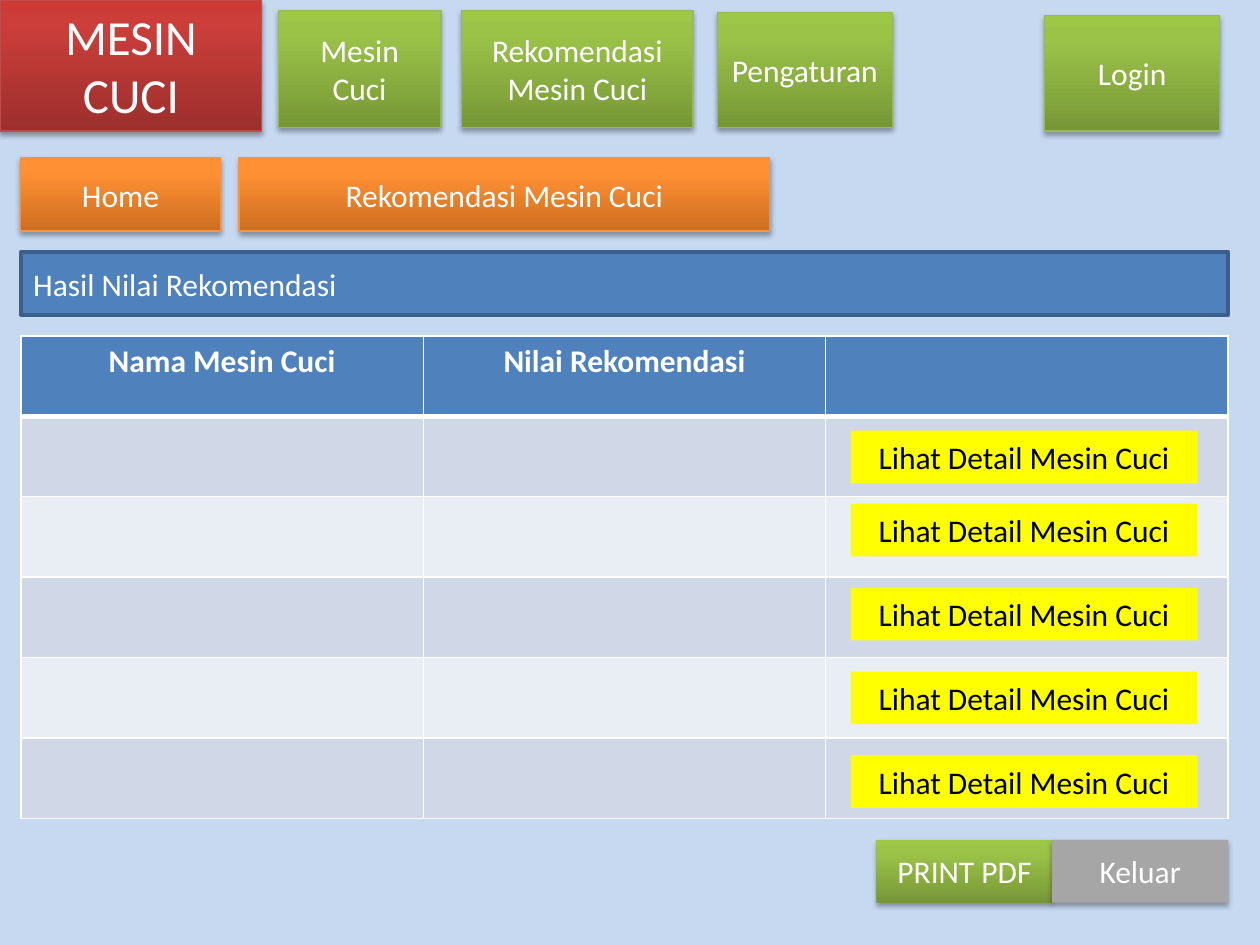
from dataclasses import dataclass
from typing import Optional

from lxml import etree
from pptx import Presentation
from pptx.dml.color import RGBColor
from pptx.enum.shapes import MSO_SHAPE
from pptx.enum.text import MSO_ANCHOR, MSO_AUTO_SIZE, PP_ALIGN
from pptx.oxml.ns import qn
from pptx.util import Cm, Pt

RECTANGLE = MSO_SHAPE.RECTANGLE
TOP, MIDDLE = MSO_ANCHOR.TOP, MSO_ANCHOR.MIDDLE
LEFT, CENTER = PP_ALIGN.LEFT, PP_ALIGN.CENTER
FIT_SHAPE = MSO_AUTO_SIZE.SHAPE_TO_FIT_TEXT

FONT = "Calibri"
WHITE = RGBColor(0xFF, 0xFF, 0xFF)
BLACK = RGBColor(0x00, 0x00, 0x00)
BACKGROUND = RGBColor(0xC6, 0xD9, 0xF1)
BLUE = RGBColor(0x4F, 0x81, 0xBD)
DARK_BLUE = RGBColor(0x3A, 0x5F, 0x8C)
GRAY = RGBColor(0xA6, 0xA6, 0xA6)
YELLOW = RGBColor(0xFF, 0xFF, 0x00)
RED_LINE = RGBColor(0xBF, 0x4C, 0x48)
ORANGE_LINE = RGBColor(0xF6, 0x92, 0x40)
GREEN_LINE = RGBColor(0x98, 0xB9, 0x55)
BAND_DARK = RGBColor(0xD0, 0xD8, 0xE8)
BAND_LIGHT = RGBColor(0xE9, 0xED, 0xF4)

# Gradient colours from bottom to top
RED = (RGBColor(0x9C, 0x2F, 0x2D), RGBColor(0xCB, 0x3E, 0x3A), RGBColor(0xCE, 0x3B, 0x37))
ORANGE = (RGBColor(0xCC, 0x6E, 0x20), RGBColor(0xFF, 0x90, 0x34), RGBColor(0xFF, 0x91, 0x36))
GREEN = (RGBColor(0x77, 0x97, 0x37), RGBColor(0x9B, 0xC3, 0x48), RGBColor(0x9D, 0xC7, 0x46))
GRADIENT_POSITIONS = (0, 80000, 100000)


@dataclass
class Box:
    """A labelled rectangle; lengths are in centimetres."""
    text: str
    left: float
    top: float
    width: float
    height: float
    fill: tuple  # an RGBColor or three gradient colours
    line: Optional[RGBColor] = None
    line_width: float = 0.75
    shadow: bool = True
    size: int = 18
    color: RGBColor = WHITE
    align: PP_ALIGN = CENTER
    grows: bool = False


MARGIN, CONTENT_WIDTH = 0.42, 24.34
DETAIL_TOPS = [8.68] + [10.16 + 1.69 * step for step in range(4)]

HEADER_BOXES = [
    Box("MESIN CUCI", 0, 0, 5.28, 2.64, RED, RED_LINE, size=28, grows=True),
    Box("Home", MARGIN, 3.18, 4.02, 1.48, ORANGE, ORANGE_LINE),
    Box("Rekomendasi Mesin Cuci", 4.82, 3.18, 10.7, 1.48, ORANGE, ORANGE_LINE),
    Box("Mesin Cuci", 5.61, 0.21, 3.28, 2.36, GREEN, GREEN_LINE),
    Box("Rekomendasi Mesin Cuci", 9.31, 0.21, 4.66, 2.36, GREEN, GREEN_LINE),
    Box("Pengaturan", 14.46, 0.25, 3.53, 2.32, GREEN, GREEN_LINE),
    Box("Hasil Nilai Rekomendasi", MARGIN, 5.08, CONTENT_WIDTH, 1.27, BLUE,
        DARK_BLUE, line_width=2, shadow=False, align=LEFT),
    Box("PRINT PDF", 17.67, 16.93, 3.55, 1.27, GREEN),
    Box("Keluar", 21.21, 16.93, 3.55, 1.27, GRAY),
]
FRONT_BOXES = [
    Box("Lihat Detail Mesin Cuci", 17.15, top, 6.99, 1.06, YELLOW, shadow=False, color=BLACK)
    for top in DETAIL_TOPS
] + [Box("Login", 21.06, 0.32, 3.53, 2.32, GREEN, GREEN_LINE)]

TABLE_HEADINGS = ("Nama Mesin Cuci", "Nilai Rekomendasi", "")
TABLE_ROWS = 6


def add_child(parent, tag, **attributes):
    """Append a DrawingML element and return it."""
    values = {name: str(value) for name, value in attributes.items()}
    return etree.SubElement(parent, qn(tag), values)


def write_text(text_frame, text, *, size=18, color=WHITE, bold=False, align=CENTER):
    """Put one formatted paragraph in a text frame."""
    paragraph = text_frame.paragraphs[0]
    paragraph.alignment = align
    run = paragraph.add_run()
    run.text = text
    run.font.name = FONT
    run.font.size = Pt(size)
    run.font.bold = bold
    run.font.color.rgb = color


def fill_gradient(shape, colors):
    """Fill a shape with a vertical three-colour gradient."""
    shape.fill.gradient()
    shape.fill.gradient_angle = 90
    stops = shape.element.find(".//" + qn("a:gsLst"))
    stops.clear()
    for position, color in zip(GRADIENT_POSITIONS, colors):
        add_child(add_child(stops, "a:gs", pos=position), "a:srgbClr", val=color)


def add_shadow(shape):
    """Give a shape a soft shadow below it."""
    effects = shape.element.spPr.find(qn("a:effectLst"))
    shadow = add_child(effects, "a:outerShdw", blurRad=Pt(3.1), dist=Pt(1.8),
                       dir=5400000, rotWithShape=0)
    add_child(add_child(shadow, "a:srgbClr", val=BLACK), "a:alpha", val=35000)


def add_box(slide, box: Box):
    """Draw one labelled rectangle."""
    shape = slide.shapes.add_shape(RECTANGLE, Cm(box.left), Cm(box.top),
                                   Cm(box.width), Cm(box.height))
    if isinstance(box.fill, RGBColor):
        shape.fill.solid()
        shape.fill.fore_color.rgb = box.fill
    else:
        fill_gradient(shape, box.fill)
    if box.line is None:
        shape.line.fill.background()
    else:
        shape.line.color.rgb = box.line
        shape.line.width = Pt(box.line_width)
    shape.shadow.inherit = False
    if box.shadow:
        add_shadow(shape)
    text_frame = shape.text_frame
    text_frame.word_wrap = True
    text_frame.vertical_anchor = TOP if box.grows else MIDDLE
    if box.grows:
        text_frame.auto_size = FIT_SHAPE
    write_text(text_frame, box.text, size=box.size, color=box.color, align=box.align)


def set_borders(cell, top_width=1, bottom_width=1):
    """Draw white borders round a table cell; widths are in points."""
    properties = cell._tc.get_or_add_tcPr()
    widths = {"a:lnL": 1, "a:lnR": 1, "a:lnT": top_width, "a:lnB": bottom_width}
    for tag, width in widths.items():
        border = add_child(properties, tag, w=Pt(width))
        add_child(add_child(border, "a:solidFill"), "a:srgbClr", val=WHITE)


def add_result_table(slide):
    """Draw the banded result table."""
    columns = len(TABLE_HEADINGS)
    table = slide.shapes.add_table(TABLE_ROWS, columns, Cm(MARGIN), Cm(6.77),
                                   Cm(CONTENT_WIDTH), Cm(9.73)).table
    for row in range(TABLE_ROWS):
        color = BLUE if row == 0 else BAND_DARK if row % 2 else BAND_LIGHT
        for column in range(columns):
            cell = table.cell(row, column)
            set_borders(cell, 3 if row == 1 else 1, 3 if row == 0 else 1)
            cell.fill.solid()
            cell.fill.fore_color.rgb = color
    for column, heading in enumerate(TABLE_HEADINGS):
        if heading:
            write_text(table.cell(0, column).text_frame, heading, bold=True)


def main():
    """Build and save the presentation."""
    presentation = Presentation()
    presentation.slide_width, presentation.slide_height = Cm(25.4), Cm(19.05)
    slide = presentation.slides.add_slide(presentation.slide_layouts[6])
    slide.background.fill.solid()
    slide.background.fill.fore_color.rgb = BACKGROUND
    for box in HEADER_BOXES:
        add_box(slide, box)
    add_result_table(slide)
    for box in FRONT_BOXES:
        add_box(slide, box)
    presentation.save("out.pptx")


main()
